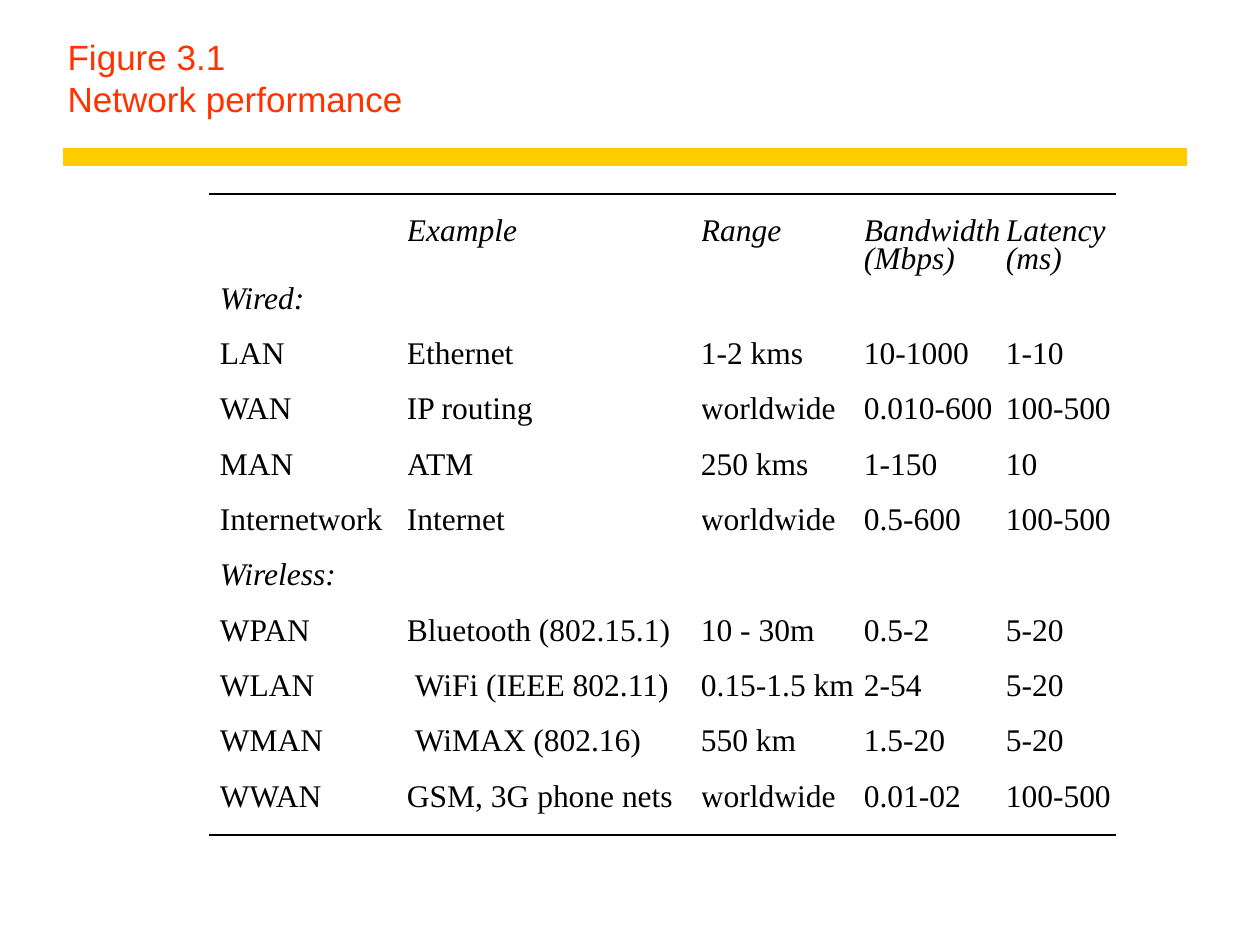
from lxml.etree import SubElement
from pptx import Presentation
from pptx.dml.color import RGBColor
from pptx.enum.shapes import MSO_CONNECTOR
from pptx.enum.text import MSO_ANCHOR, MSO_AUTO_SIZE, PP_ALIGN
from pptx.oxml.ns import qn
from pptx.util import Emu, Pt

HEADER = ["", "Example", "Range", "Bandwidth\v(Mbps)", "Latency\v(ms)"]
ROWS = [
    ["Wired:"],
    ["LAN", "Ethernet", "1-2 kms", "10-1000", "1-10"],
    ["WAN", "IP routing", "worldwide", "0.010-600", "100-500"],
    ["MAN", "ATM", "250 kms", "1-150", "10"],
    ["Internetwork", "Internet", "worldwide", "0.5-600", "100-500"],
    ["Wireless:"],
    ["WPAN", "Bluetooth (802.15.1)", "10 - 30m", "0.5-2", "5-20"],
    ["WLAN", "WiFi (IEEE 802.11)", "0.15-1.5 km", "2-54", "5-20"],
    ["WMAN", "WiMAX (802.16)", "550 km", "1.5-20", "5-20"],
    ["WWAN", "GSM, 3G phone nets", "worldwide", "0.01-02", "100-500"],
]
COL_WIDTHS = [198, 294, 163, 142, 110]
HEADER_HEIGHT = 87
INDENTED = ("WiFi", "WiMAX")


def px(n):
    """Turn pixels into EMU."""
    return Emu(round(n * 914400 / 126))


def color(value):
    """Turn a hex string into a colour."""
    return RGBColor.from_string(value)


def write(tf, text, size=18, font="Times New Roman", fill="000000",
          italic=False, spacing=None):
    """Write left-aligned text in one format."""
    tf.text = text
    p = tf.paragraphs[0]
    p.alignment = PP_ALIGN.LEFT
    if spacing:
        p.line_spacing = Pt(spacing)
    for r in p.runs:
        r.font.size = Pt(size)
        r.font.name = font
        r.font.italic = italic
        r.font.color.rgb = color(fill)


def add_rule(slide, left, top, width, weight, fill):
    """Draw a horizontal rule."""
    line = slide.shapes.add_connector(
        MSO_CONNECTOR.STRAIGHT, px(left), px(top), px(left + width), px(top))
    line.line.width = Pt(weight)
    line.line.color.rgb = color(fill)
    SubElement(line._element.spPr, qn("a:effectLst"))


def add_title(slide, left, top, width, height):
    """Place the title and the yellow bar below it."""
    title = slide.shapes.title
    title.left, title.top = px(left), px(top)
    title.width, title.height = px(width), px(height)
    tf = title.text_frame
    tf.auto_size = MSO_AUTO_SIZE.NONE
    tf.vertical_anchor = MSO_ANCHOR.BOTTOM
    write(tf, "Figure 3.1\vNetwork performance", size=20, font="Arial",
          fill="FF3300")
    add_rule(slide, left + 8, top + height + 31, width - 6, 10, "FFCC00")


def fill_cell(cell, text, row, col):
    """Fill one table cell."""
    cell.fill.background()
    cell.vertical_anchor = MSO_ANCHOR.TOP
    cell.margin_right = cell.margin_bottom = 0
    cell.margin_top = px(26 if row == 0 else 0)
    cell.margin_left = px(11 if col == 0 else 8 if text.startswith(INDENTED) else 0)
    write(cell.text_frame, text, italic=row == 0 or text.endswith(":"),
          spacing=16 if row == 0 else None)


def add_performance_table(slide, left, top, width, height):
    """Place the table between its two black rules."""
    grid = [HEADER] + ROWS
    table = slide.shapes.add_table(
        len(grid), len(HEADER), px(left), px(top), px(width), px(height)).table
    table.first_row = table.horz_banding = False
    for column, col_width in zip(table.columns, COL_WIDTHS):
        column.width = px(col_width)
    row_height = (height - HEADER_HEIGHT) / len(ROWS)
    for i, values in enumerate(grid):
        table.rows[i].height = px(row_height if i else HEADER_HEIGHT)
        for j in range(len(HEADER)):
            fill_cell(table.cell(i, j), values[j] if j < len(values) else "", i, j)
    for y in (top, top + height):
        add_rule(slide, left, y, width, 1.39, "000000")


def main():
    """Build the slide and save it."""
    prs = Presentation()
    prs.slide_width, prs.slide_height = px(1260), px(945)
    s = prs.slides.add_slide(prs.slide_layouts[5])
    add_title(s, 55, 32, 1130, 94)
    add_performance_table(s, 209, 194, sum(COL_WIDTHS), 641)
    prs.save("out.pptx")


if __name__ == "__main__":
    main()
